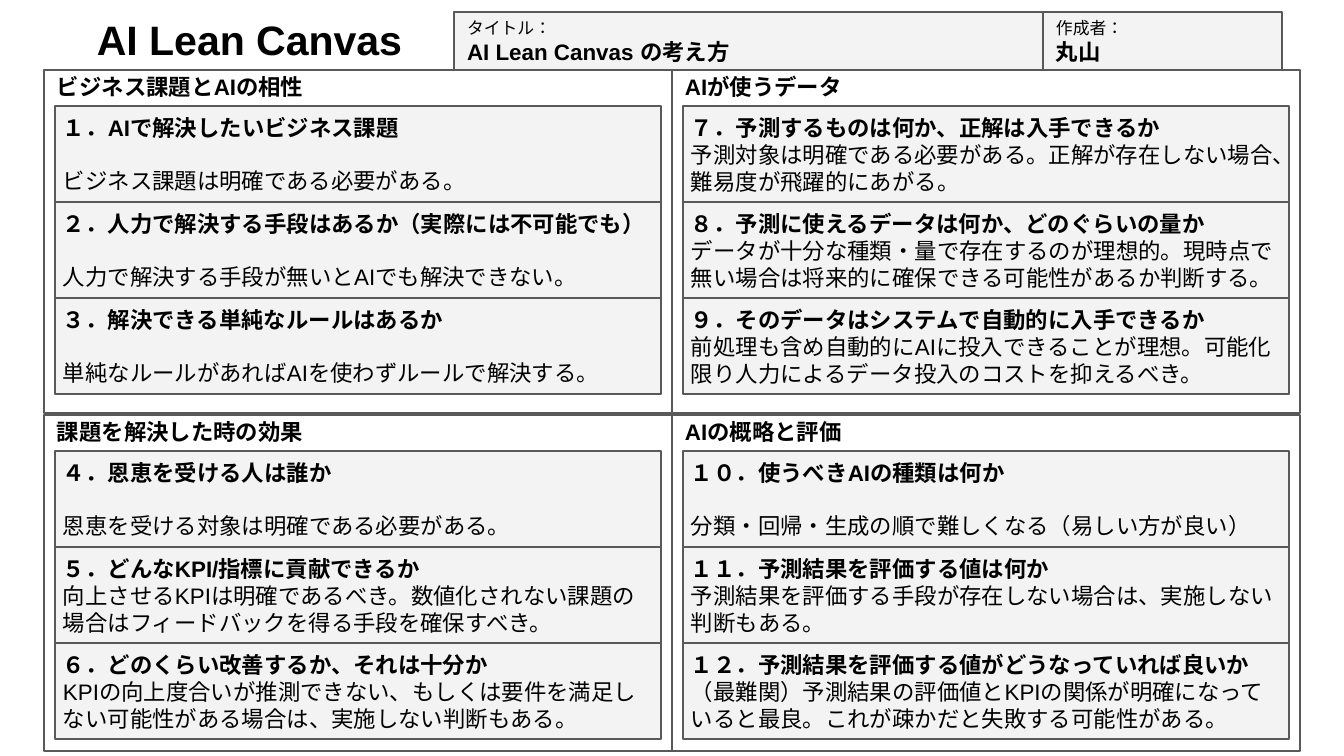
"""Build the AI Lean Canvas slide with four panels of three questions."""
from dataclasses import dataclass

from lxml import etree
from pptx import Presentation
from pptx.dml.color import RGBColor
from pptx.enum.lang import MSO_LANGUAGE_ID
from pptx.enum.shapes import MSO_SHAPE
from pptx.enum.text import MSO_ANCHOR, MSO_AUTO_SIZE, PP_ALIGN
from pptx.oxml.ns import qn
from pptx.util import Emu, Pt

RECT = MSO_SHAPE.RECTANGLE
TOP, MIDDLE = MSO_ANCHOR.TOP, MSO_ANCHOR.MIDDLE
LEFT, CENTER = PP_ALIGN.LEFT, PP_ALIGN.CENTER
FIXED = MSO_AUTO_SIZE.NONE
JAPANESE = MSO_LANGUAGE_ID.JAPANESE

SCALE = 914400 / 134.4
FONT = "Arial"
COLORS = {"text": "000000", "line": "595959", "fill": "F3F3F3"}
CELL_H = 96


@dataclass
class Box:
    left: int
    top: int
    width: int
    height: int


@dataclass
class Line:
    text: str
    size: int = 12
    bold: bool = True
    gap: int = 0


@dataclass
class Cell:
    head: str
    body: str
    gap: int = 0


@dataclass
class Panel:
    title: str
    box: Box
    cells: list[Cell]


HEADERS = [
    (Box(454, 12, 589, 58), "タイトル：", "AI Lean Canvas の考え方"),
    (Box(1043, 12, 239, 58), "作成者：", "丸山"),
]

PANELS = [
    Panel("ビジネス課題とAIの相性", Box(44, 70, 628, 343), [
        Cell("１．AIで解決したいビジネス課題",
             "ビジネス課題は明確である必要がある。", 14),
        Cell("２．人力で解決する手段はあるか（実際には不可能でも）",
             "人力で解決する手段が無いとAIでも解決できない。", 14),
        Cell("３．解決できる単純なルールはあるか",
             "単純なルールがあればAIを使わずルールで解決する。", 14),
    ]),
    Panel("課題を解決した時の効果", Box(44, 415, 628, 336), [
        Cell("４．恩恵を受ける人は誰か",
             "恩恵を受ける対象は明確である必要がある。", 14),
        Cell("５．どんなKPI/指標に貢献できるか",
             "向上させるKPIは明確であるべき。数値化されない課題の"
             "場合はフィードバックを得る手段を確保すべき。"),
        Cell("６．どのくらい改善するか、それは十分か",
             "KPIの向上度合いが推測できない、もしくは要件を満足し"
             "ない可能性がある場合は、実施しない判断もある。"),
    ]),
    Panel("AIが使うデータ", Box(672, 70, 628, 343), [
        Cell("７．予測するものは何か、正解は入手できるか",
             "予測対象は明確である必要がある。正解が存在しない場"
             "合、難易度が飛躍的にあがる。"),
        Cell("８．予測に使えるデータは何か、どのぐらいの量か",
             "データが十分な種類・量で存在するのが理想的。現時点で無"
             "い場合は将来的に確保できる可能性があるか判断する。"),
        Cell("９．そのデータはシステムで自動的に入手できるか",
             "前処理も含め自動的にAIに投入できることが理想。可能"
             "化限り人力によるデータ投入のコストを抑えるべき。"),
    ]),
    Panel("AIの概略と評価", Box(672, 415, 628, 336), [
        Cell("１０．使うべきAIの種類は何か",
             "分類・回帰・生成の順で難しくなる（易しい方が良い）", 14),
        Cell("１１．予測結果を評価する値は何か",
             "予測結果を評価する手段が存在しない場合は、実施しない"
             "判断もある。"),
        Cell("１２．予測結果を評価する値がどうなっていれば良いか",
             "（最難関）予測結果の評価値とKPIの関係が明確になって"
             "いると最良。これが疎かだと失敗する可能性がある。"),
    ]),
]


def px(count: float) -> Emu:
    return Emu(round(count * SCALE))


def color(name: str) -> RGBColor:
    return RGBColor.from_string(COLORS[name])


def write(shape, lines: list[Line], pads: tuple, anchor=TOP, align=LEFT) -> None:
    frame = shape.text_frame
    frame.word_wrap = True
    frame.auto_size = FIXED
    frame.vertical_anchor = anchor
    (frame.margin_left, frame.margin_top,
     frame.margin_right, frame.margin_bottom) = map(px, pads)
    frame.text = "\n".join(line.text for line in lines)
    for para, line in zip(frame.paragraphs, lines):
        para.alignment = align
        para.space_before = Pt(line.gap)
        for run in para.runs:
            font = run.font
            font.name = FONT
            font.size = Pt(line.size)
            font.bold = line.bold
            font.color.rgb = color("text")
            font.language_id = JAPANESE
            latin = run._r.get_or_add_rPr().find(qn("a:latin"))
            east = etree.Element(qn("a:ea"), typeface=FONT)
            latin.addnext(east)


def draw(slide, box: Box, filled: bool = True):
    shape = slide.shapes.add_shape(
        RECT, px(box.left), px(box.top), px(box.width), px(box.height))
    shape.shadow.inherit = False
    if filled:
        shape.fill.solid()
        shape.fill.fore_color.rgb = color("fill")
    else:
        shape.fill.background()
    shape.line.color.rgb = color("line")
    shape.line.width = Pt(0.75)
    return shape


def add_panel(slide, panel: Panel) -> None:
    box = panel.box
    write(draw(slide, box, False), [Line(panel.title)], (13, 3, 13, 3))
    for row, cell in enumerate(panel.cells):
        spot = Box(box.left + 11, box.top + 36 + row * CELL_H,
                   box.width - 22, CELL_H)
        lines = [Line(cell.head), Line(cell.body, bold=False, gap=cell.gap)]
        write(draw(slide, spot), lines, (8, 8, 8, 13))


def main() -> None:
    deck = Presentation()
    deck.slide_width, deck.slide_height = px(1344), px(756)
    slide = deck.slides.add_slide(deck.slide_layouts[5])
    title = slide.shapes.title
    title.left, title.top = px(44), px(1)
    title.width, title.height = px(411), px(58)
    write(title, [Line("AI Lean Canvas", 22)], (13, 13, 13, 13), TOP, CENTER)
    for box, label, value in HEADERS:
        lines = [Line(label, 9, False), Line(value)]
        write(draw(slide, box), lines, (13, 13, 13, 13), MIDDLE)
    for panel in PANELS:
        add_panel(slide, panel)
    deck.save("out.pptx")


main()
